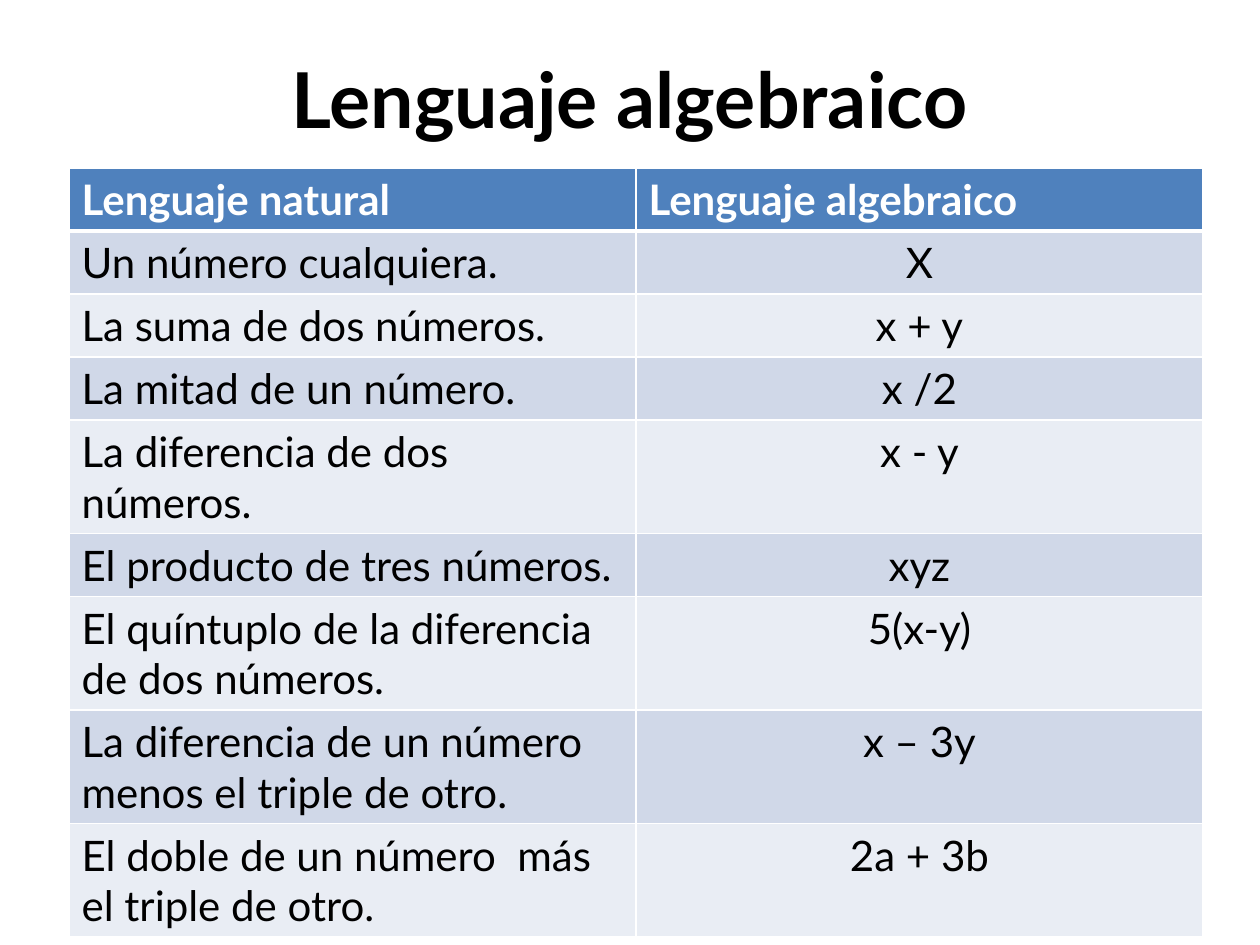
from lxml import etree
from pptx import Presentation
from pptx.dml.color import RGBColor
from pptx.enum.text import MSO_ANCHOR, PP_ALIGN
from pptx.oxml.ns import qn
from pptx.util import Pt

LEFT, CENTER = PP_ALIGN.LEFT, PP_ALIGN.CENTER
MIDDLE = MSO_ANCHOR.MIDDLE
PX = 914400 // 126
FONT = "Lato"
WHITE, BLACK, BLUE = "FFFFFF", "000000", "4F81BD"
BANDS = ("D0D8E8", "E9EDF4")
THIN, THICK = 1, 3

TITLE = "Lenguaje algebraico"
HEADER = ("Lenguaje natural", "Lenguaje algebraico")
EXPRESSIONS = [
    ("Un número cualquiera.", "X"),
    ("La suma de dos números.", "x + y"),
    ("La mitad de un número.", "x /2"),
    ("La diferencia de dos números.", "x - y"),
    ("El producto de tres números.", "xyz"),
    ("El quíntuplo de la diferencia de dos números.", "5(x-y)"),
    ("La diferencia de un número menos el triple de otro.", "x – 3y"),
    ("El doble de un número  más el triple de otro.", "2a + 3b"),
]

TITLE_BOX = (63, 38, 1134, 120)
TABLE_LEFT, TABLE_TOP = 69, 168
COLUMN_WIDTH, ROW_HEIGHT = 567, 52


def px(*lengths):
    return [length * PX for length in lengths]


def color(hex_string):
    return RGBColor.from_string(hex_string)


def write(frame, text, size=24, ink=BLACK, bold=False, align=LEFT):
    paragraph = frame.paragraphs[0]
    paragraph.alignment = align
    run = paragraph.add_run()
    run.text = text
    run.font.name = FONT
    run.font.size = Pt(size)
    run.font.bold = bold
    run.font.color.rgb = color(ink)


def set_borders(cell, top, bottom):
    """Draw white cell borders; the schema wants them ahead of the fill."""
    properties = cell._tc.get_or_add_tcPr()
    widths = {"a:lnL": THIN, "a:lnR": THIN, "a:lnT": top, "a:lnB": bottom}
    for position, (tag, width) in enumerate(widths.items()):
        line = etree.Element(qn(tag), w=str(Pt(width)))
        fill = etree.SubElement(line, qn("a:solidFill"))
        etree.SubElement(fill, qn("a:srgbClr"), val=WHITE)
        properties.insert(position, line)


def add_title(slide):
    frame = slide.shapes.add_textbox(*px(*TITLE_BOX)).text_frame
    frame.word_wrap = True
    frame.vertical_anchor = MIDDLE
    write(frame, TITLE, size=44, bold=True, align=CENTER)


def add_expression_table(slide):
    rows = [HEADER] + EXPRESSIONS
    columns = len(HEADER)
    table = slide.shapes.add_table(
        len(rows), columns,
        *px(TABLE_LEFT, TABLE_TOP, columns * COLUMN_WIDTH, len(rows) * ROW_HEIGHT),
    ).table
    for r, texts in enumerate(rows):
        is_header = r == 0
        for c, text in enumerate(texts):
            cell = table.cell(r, c)
            cell.fill.solid()
            cell.fill.fore_color.rgb = color(BLUE if is_header else BANDS[(r - 1) % 2])
            set_borders(cell, top=THICK if r == 1 else THIN,
                        bottom=THICK if is_header else THIN)
            write(cell.text_frame, text, ink=WHITE if is_header else BLACK,
                  bold=is_header, align=CENTER if c and not is_header else LEFT)


def main():
    deck = Presentation()
    deck.slide_width, deck.slide_height = px(1260, 945)
    slide = deck.slides.add_slide(deck.slide_layouts[6])
    add_title(slide)
    add_expression_table(slide)
    deck.save("out.pptx")


if __name__ == "__main__":
    main()
